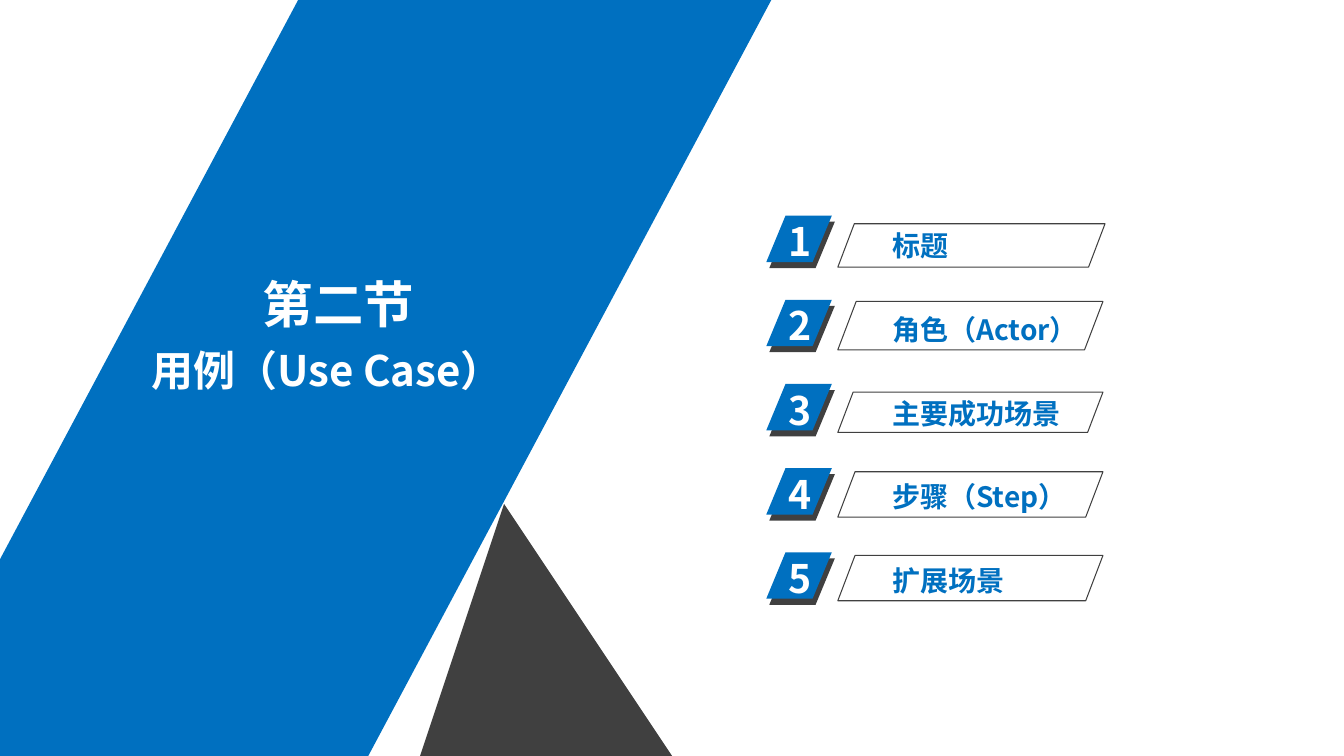
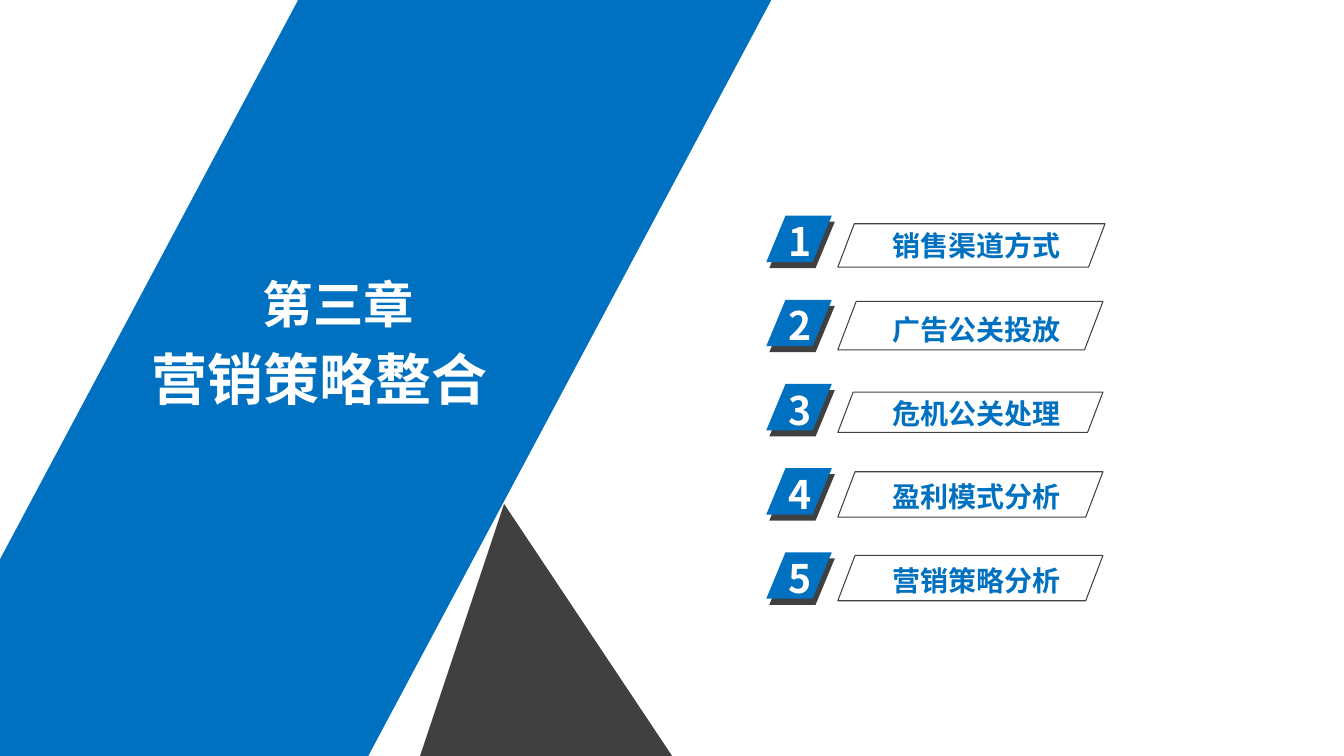
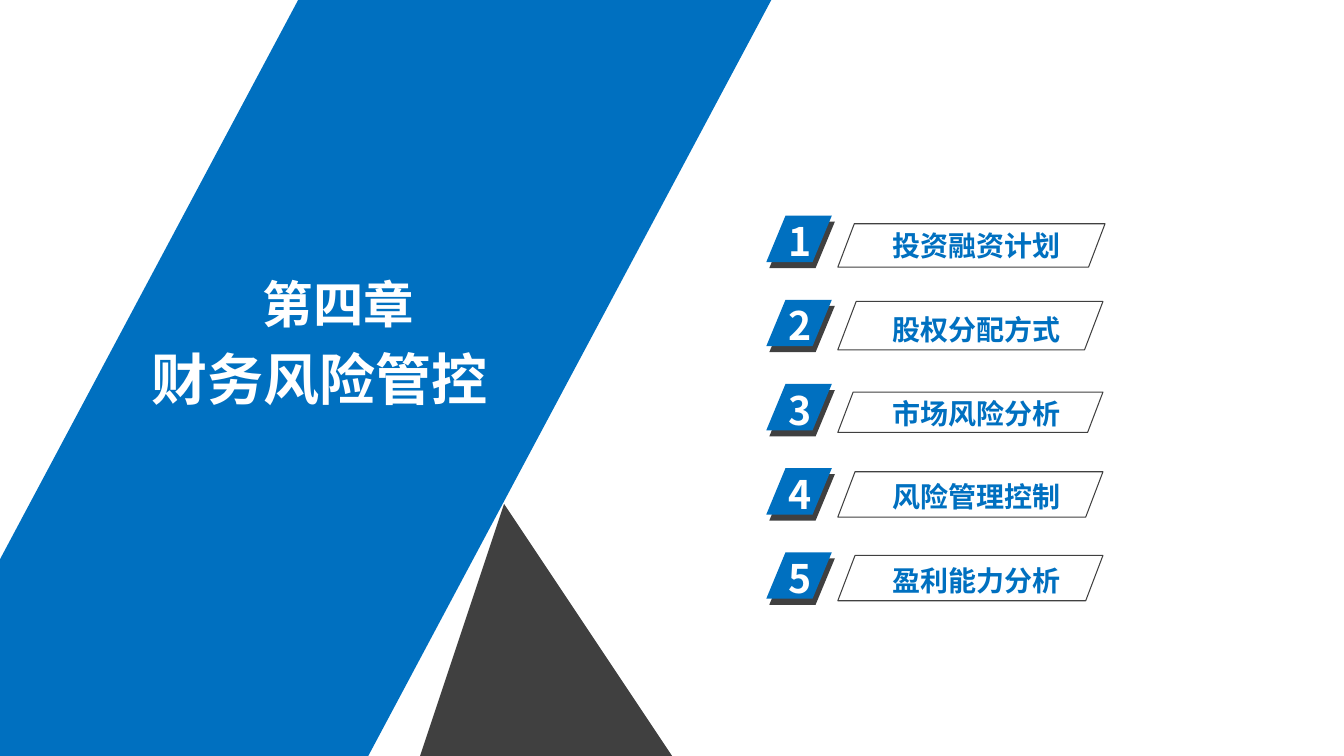
from lxml.etree import SubElement
from pptx import Presentation
from pptx.dml.color import RGBColor
from pptx.enum.shapes import MSO_SHAPE as Kind
from pptx.enum.text import MSO_ANCHOR as Anchor, MSO_AUTO_SIZE as Fit, PP_ALIGN as Align
from pptx.oxml.ns import qn
from pptx.util import Inches, Pt

DECK = [
    ("第二节", "用例（Use Case）", 30,
     ["标题", "角色（Actor）", "主要成功场景", "步骤（Step）", "扩展场景"]),
    ("第三章", "营销策略整合", 40,
     ["销售渠道方式", "广告公关投放", "危机公关处理", "盈利模式分析", "营销策略分析"]),
    ("第四章", "财务风险管控", 40,
     ["投资融资计划", "股权分配方式", "市场风险分析", "风险管理控制", "盈利能力分析"]),
]
FRAMES = [(2.22, 2.65, 0.43), (2.99, 2.63, 0.48), (3.89, 2.63, 0.4),
          (4.68, 2.63, 0.45), (5.51, 2.63, 0.45)]

BLUE = RGBColor(0x00, 0x70, 0xC0)
DARK = RGBColor(0x40, 0x40, 0x40)
WHITE = RGBColor(0xFF, 0xFF, 0xFF)
FONT = "Noto Sans CJK SC"
WIDE, HIGH = 13.33, 7.5
TOP, LAST = 2.11, 5.45
PITCH = (LAST - TOP) / (len(FRAMES) - 1)
PEAK = [(3.57, HIGH), (5.08, 4.62), (7.09, HIGH)]


def place(shape, box):
    shape.left, shape.top, shape.width, shape.height = map(Inches, box)


def write(shape, text, size, color):
    frame = shape.text_frame
    frame.word_wrap = True
    frame.auto_size = Fit.SHAPE_TO_FIT_TEXT
    frame.vertical_anchor = Anchor.TOP
    para = frame.paragraphs[0]
    para.alignment = Align.LEFT
    run = para.add_run()
    run.text = text
    font = run.font
    font.size, font.bold, font.name = Pt(size), True, FONT
    font.color.rgb = color
    SubElement(run._r.get_or_add_rPr(), qn("a:ea"), typeface=FONT)


def label(shapes, box, text, size, color):
    write(shapes.add_textbox(*map(Inches, box)), text, size, color)


def paint(shape, fill):
    shape.shadow.inherit = False
    shape.fill.solid()
    shape.fill.fore_color.rgb = fill
    shape.line.fill.background()


def slant(shapes, box, lean):
    shape = shapes.add_shape(Kind.PARALLELOGRAM, *map(Inches, box))
    shape.adjustments[0] = lean
    return shape


def scene(shapes):
    path = shapes.build_freeform(*PEAK[0], scale=Inches(1))
    path.add_line_segments(PEAK[1:], close=True)
    paint(path.convert_to_shape(), DARK)
    paint(slant(shapes, (-1.04, 0, 8.69, HIGH), 0.533), BLUE)


def badge(shapes, top, num):
    group = shapes.add_group_shape().shapes
    for left, drop, fill in [(7.63, 0.09, DARK), (7.6, 0.03, BLUE)]:
        paint(slant(group, (left, top + drop, 0.65, 0.46), 0.415), fill)
    label(group, (7.72, top, 0.69, 0.57), str(num), 28, WHITE)


def entry(shapes, row, text):
    top, wide, high = FRAMES[row]
    rim = slant(shapes, (8.31, top, wide, high), 0.38)
    rim.shadow.inherit = False
    rim.fill.background()
    rim.line.color.rgb = DARK
    rim.line.width = Pt(0.75)
    label(shapes, (8.75, 2.22 + row * 0.83, 3.03, 0.44), text, 20, BLUE)


def build(show, part, name, size, items):
    shapes = show.slides.add_slide(show.slide_layouts[5]).shapes
    scene(shapes)
    label(shapes, (2.51, 2.66, 1.81, 0.71), part, 36, WHITE)
    title = shapes.title
    shapes.element.append(title.element)
    place(title, (1.4, 3.37, 3.77, 0.6 if size < 40 else 0.77))
    write(title, name, size, WHITE)
    for row in range(len(items)):
        badge(shapes, TOP + row * PITCH, row + 1)
    for row, text in enumerate(items):
        entry(shapes, row, text)


def main():
    show = Presentation()
    show.slide_width, show.slide_height = Inches(WIDE), Inches(HIGH)
    for page in DECK:
        build(show, *page)
    show.save("out.pptx")


if __name__ == "__main__":
    main()
